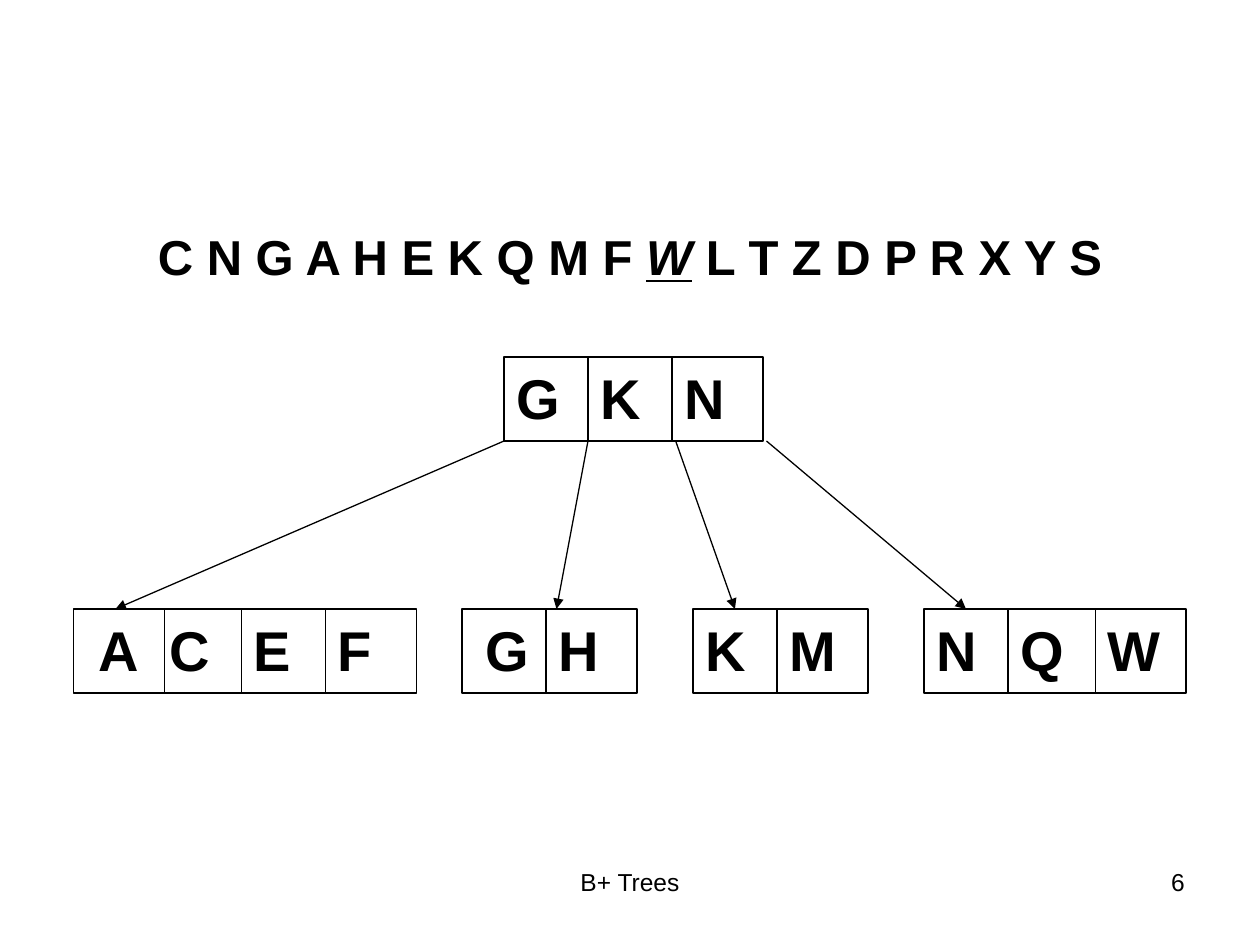
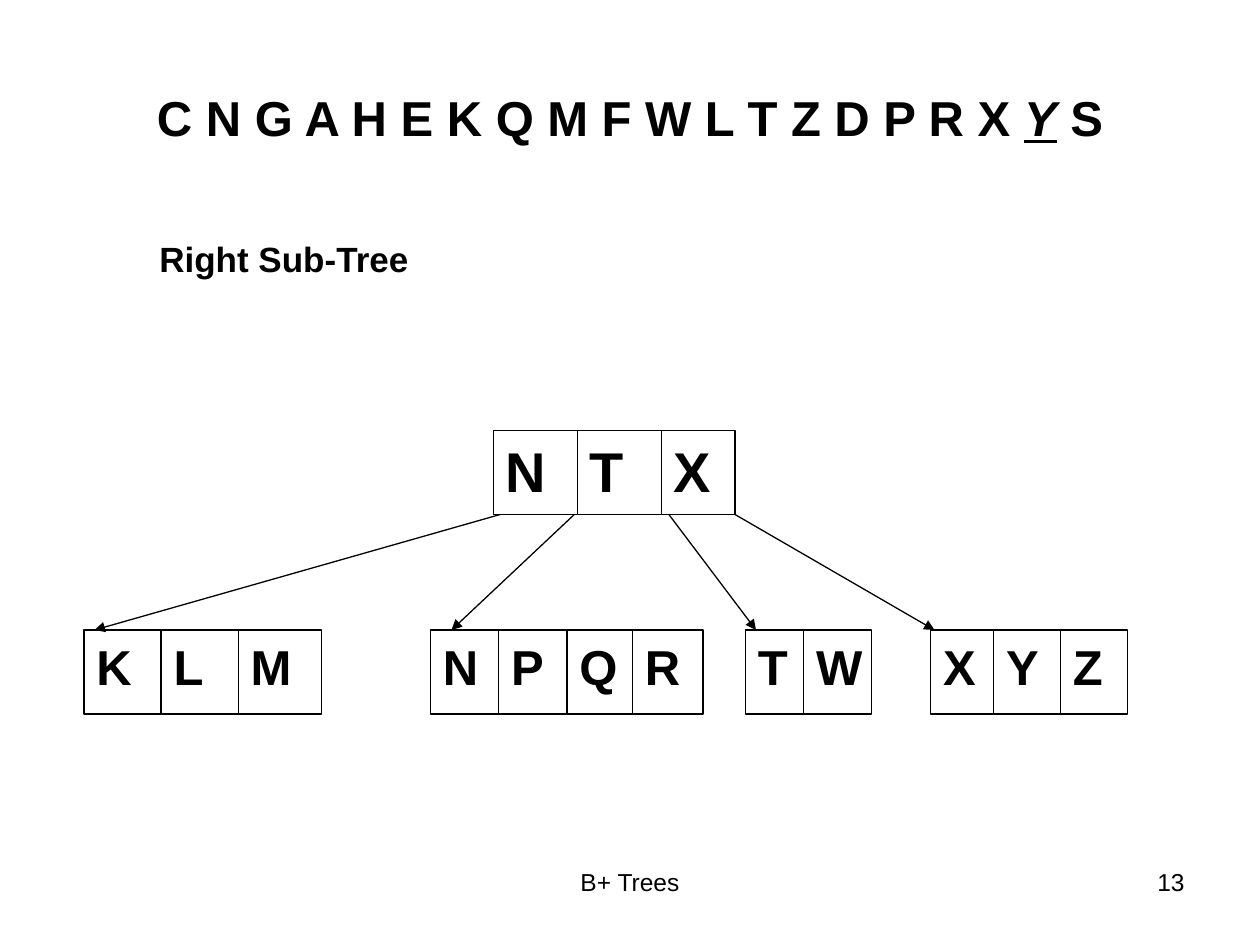
from pptx import Presentation
from pptx.dml.color import RGBColor as Rgb
from pptx.enum.shapes import MSO_CONNECTOR as Link, MSO_SHAPE as Form
from pptx.enum.text import MSO_ANCHOR as Anchor, PP_ALIGN as Align
from pptx.oxml.ns import qn
from pptx.util import Inches, Pt

COLORS = {"ink": "000000", "paper": "FFFFFF"}
# Grid of 120 columns by 90 rows on a 10 by 7.5 inch slide
COLS, ROWS = 120, 90
HIGH = 8  # rows in a key cell
WIDE = 8.67  # columns in a large key cell


class Deck:
    def __init__(self):
        self.prs = Presentation()
        self.prs.slide_width, self.prs.slide_height = Inches(10), Inches(7.5)
        self.base = {"name": "Arial", "bold": True}
        self.ink = Rgb.from_string(COLORS["ink"])
        self.paper = Rgb.from_string(COLORS["paper"])

    def place(self, col, row):
        return (round(col * self.prs.slide_width / COLS),
                round(row * self.prs.slide_height / ROWS))

    def page(self, num):
        self.slide = self.prs.slides.add_slide(self.prs.slide_layouts[6])
        self.slide.background.fill.solid()
        self.slide.background.fill.fore_color.rgb = self.paper
        # Shared footer
        plain = {"bold": False}
        self.text((41, 82, 38, 6.2), [("B+ Trees", plain)], 14, Align.CENTER)
        self.text((86, 82, 28, 6.2), [(str(num), plain)], 14, Align.RIGHT)

    def label(self, frame, runs, size, align, gap=0, anchor=Anchor.TOP):
        frame.word_wrap = True
        frame.vertical_anchor = anchor
        para = frame.paragraphs[0]
        para.alignment, para.space_before = align, Pt(gap)
        for words, extra in runs:
            run = para.add_run()
            run.text = words
            for key, val in {**self.base, "size": Pt(size), **extra}.items():
                setattr(run.font, key, val)
            run.font.color.rgb = self.ink

    def text(self, area, runs, size, align=Align.LEFT, **more):
        box = self.slide.shapes.add_textbox(
            *self.place(*area[:2]), *self.place(*area[2:]))
        self.label(box.text_frame, runs, size, align, **more)

    def keys(self, area, done, now, rest, **more):
        mark = {"italic": True, "underline": True}
        runs = [(done + " ", {}), (now, mark), (" " + rest, {})]
        self.text(area, runs, 28, Align.CENTER, **more)

    def node(self, row, keys, cols, wide=WIDE, size=32, mid=""):
        """Draw one cell per key; keys listed in mid are centred."""
        for key, col in zip(keys, cols):
            cell = self.slide.shapes.add_shape(
                Form.RECTANGLE, *self.place(col, row), *self.place(wide, HIGH))
            cell.shadow.inherit = False
            cell.fill.solid()
            cell.fill.fore_color.rgb = self.paper
            cell.line.color.rgb = self.ink
            cell.line.width = Pt(0.75)
            align = Align.CENTER if key in mid else Align.LEFT
            self.label(cell.text_frame, [(key, {})], size, align)

    def arrow(self, start, end):
        link = self.slide.shapes.add_connector(
            Link.STRAIGHT, *self.place(*start), *self.place(*end))
        link.line.color.rgb = self.ink
        link.line.width = Pt(0.75)
        line = link.element.spPr.find(qn("a:ln"))
        line.append(line.makeelement(qn("a:tailEnd"), {"type": "triangle"}))
        line.addnext(line.makeelement(qn("a:effectLst"), {}))

    def fan(self, top, low, pairs):
        for start, end in pairs:
            self.arrow((start, top), (end, low))


def whole(deck):
    deck.page(6)
    deck.keys((6, 21, 108, 59.4), "C N G A H E K Q M F", "W",
              "L T Z D P R X Y S", gap=7)
    # Links from root to leaves
    deck.arrow((64, 41), (70, 58))
    deck.fan(42, 58, [(48, 11), (56, 53), (73, 92)])
    # Root
    deck.node(34, "GKN", (48, 56, 64))
    # Leaves
    deck.node(58, "CEAF", (15, 23, 7, 31), mid="A")
    deck.node(58, "GH", (44, 52), mid="G")
    deck.node(58, "KM", (66, 74))
    deck.node(58, "NQW", (88, 96, 104.3))


def right(deck):
    deck.page(13)
    deck.keys((6, 3.6, 108, 15), "C N G A H E K Q M F W L T Z D P R X", "Y",
              "S", anchor=Anchor.MIDDLE)
    deck.text((14, 22, 36, 5.25), [("Right Sub-Tree", {})], 20, gap=12.5)
    # Root
    deck.node(41, "NT", (47, 55))
    deck.node(41, "X", (63,), 7)
    # Leaves
    for keys, cols, wide in (
            ("KLM", (8, 15.35, 22.7), 7.9),
            ("NP", (41, 47.5), 7.08), ("QR", (54, 60.25), 6.72),
            ("T", (71,), 6), ("W", (76.55,), 6.45),
            ("X", (88.65,), 6), ("YZ", (94.65, 101), 6.36)):
        deck.node(60, keys, cols, wide, 28)
    # Links from root to leaves
    deck.fan(49, 60, [(47.65, 9), (54.7, 43), (63.7, 72), (70, 89)])


def main():
    deck = Deck()
    whole(deck)
    right(deck)
    deck.prs.save("out.pptx")


if __name__ == "__main__":
    main()
